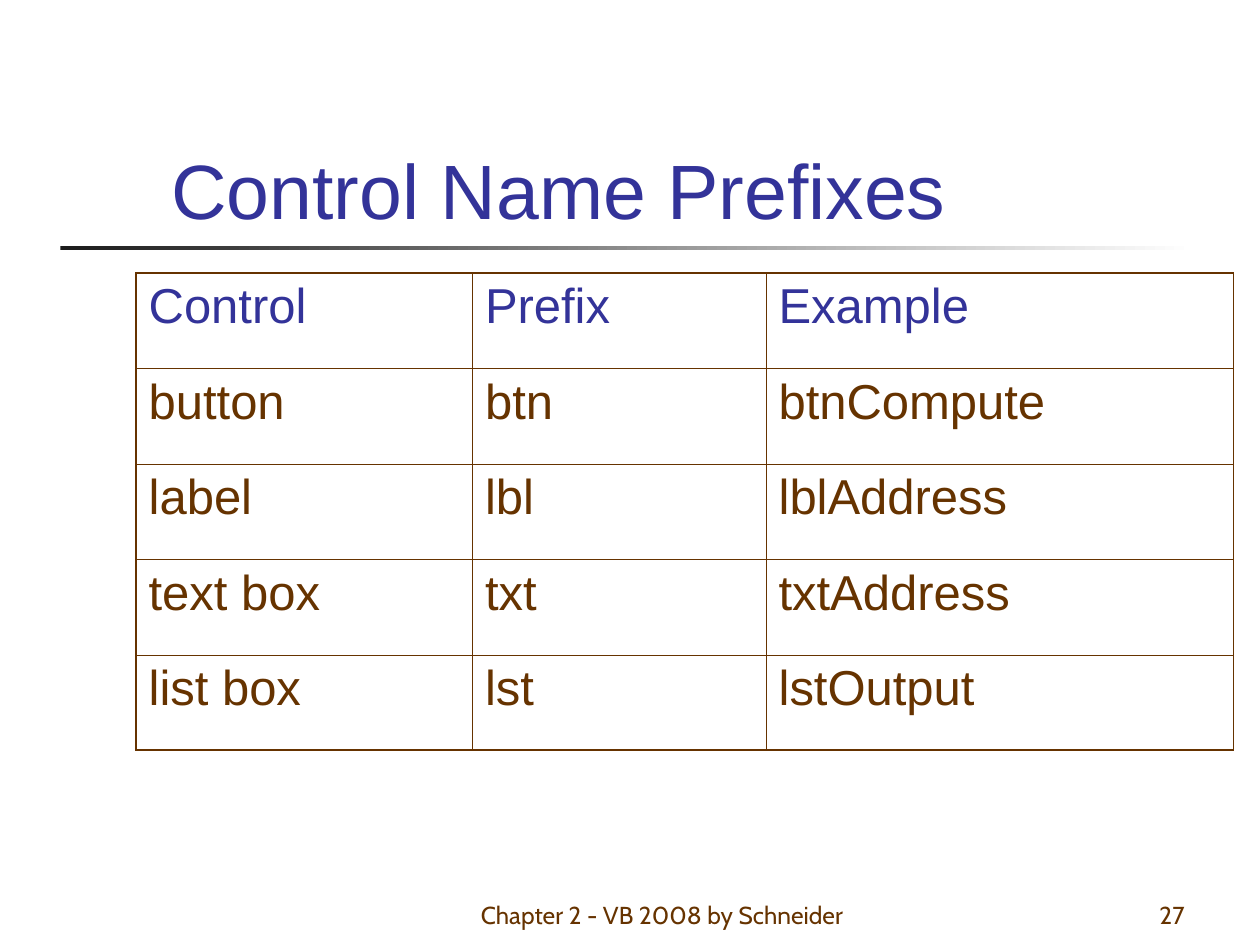
import pptx
import pptx.dml.color
import pptx.enum.shapes
import pptx.enum.text
import pptx.util
from lxml import etree

BLUE, BROWN = "333399", "663300"
A = "{http://schemas.openxmlformats.org/drawingml/2006/main}"
PP = pptx.enum.text.PP_ALIGN
BOTTOM = pptx.enum.text.MSO_ANCHOR.BOTTOM


def style(p, text, size, font, color, align=PP.LEFT):
    p.text, p.alignment = text, align
    p.font.size, p.font.name = pptx.util.Pt(size), font
    p.font.color.rgb = pptx.dml.color.RGBColor.from_string(color)


def border(cell, side, width):
    """Draw one side of a cell: L, R, T or B, with the width in points."""
    ln = etree.SubElement(cell._tc.get_or_add_tcPr(), A + "ln" + side,
                          w=str(int(pptx.util.Pt(width))))
    fill = etree.SubElement(ln, A + "solidFill")
    etree.SubElement(fill, A + "srgbClr", val=BROWN)


prs = pptx.Presentation()
prs.slide_width, prs.slide_height = pptx.util.Inches(10), pptx.util.Inches(7.5)
W, H = prs.slide_width, prs.slide_height
s = prs.slides.add_slide(prs.slide_layouts[5])

# Fading rule under the title
rule = s.shapes.add_shape(pptx.enum.shapes.MSO_SHAPE.RECTANGLE,
                          int(W * 0.048), int(H * 0.26), int(W * 0.9), int(H * 0.005))
rule.shadow.inherit = False
rule.line.fill.background()
rule.fill.gradient()
rule.fill.gradient_angle = 0
for stop, position, color in zip(rule.fill.gradient_stops, (0, 1), ("1C1C1C", "FFFFFF")):
    stop.position = position
    stop.color.rgb = pptx.dml.color.RGBColor.from_string(color)

# Footer and slide number
for left, width, text, align in (
    (0.367, 0.317, "Chapter 2 - VB 2008 by Schneider", PP.CENTER),
    (0.742, 0.208, "27", PP.RIGHT),
):
    tf = s.shapes.add_textbox(int(W * left), int(H * 0.923), int(W * width), int(H / 15)).text_frame
    tf.word_wrap, tf.vertical_anchor = True, BOTTOM
    style(tf.paragraphs[0], text, 14, "Cabin", BROWN, align)

title = s.shapes.title
title.left, title.top = int(W * 0.126), int(H * 0.089)
title.width, title.height = int(W * 0.852), int(H / 6)
title.text_frame.vertical_anchor = BOTTOM
style(title.text_frame.paragraphs[0], "Control Name Prefixes", 44, "Arial", BLUE)

# Table of prefixes: thick outer frame, thin inner lines
rows = [
    ("Control", "Prefix", "Example"),
    ("button", "btn", "btnCompute"),
    ("label", "lbl", "lblAddress"),
    ("text box", "txt", "txtAddress"),
    ("list box", "lst", "lstOutput"),
]
widths = (0.267, 0.233, 0.371)
last_row, last_col = len(rows) - 1, len(widths) - 1
table = s.shapes.add_table(len(rows), len(widths), int(W * 0.108), int(H * 0.289),
                           int(W * sum(widths)), int(H * 0.505)).table
table.first_row = table.horz_banding = False
for column, width in zip(table.columns, widths):
    column.width = int(W * width)

for i, row in enumerate(rows):
    for j, text in enumerate(row):
        cell = table.cell(i, j)
        p = cell.text_frame.paragraphs[0]
        style(p, text, 28, "Arial", BROWN if i else BLUE)
        p.space_before = pptx.util.Pt(7)
        for side, outer in (("L", j == 0), ("R", j == last_col),
                            ("T", i == 0), ("B", i == last_row)):
            border(cell, side, 1.08 if outer else 0.45)
        cell.fill.background()

prs.save("out.pptx")
